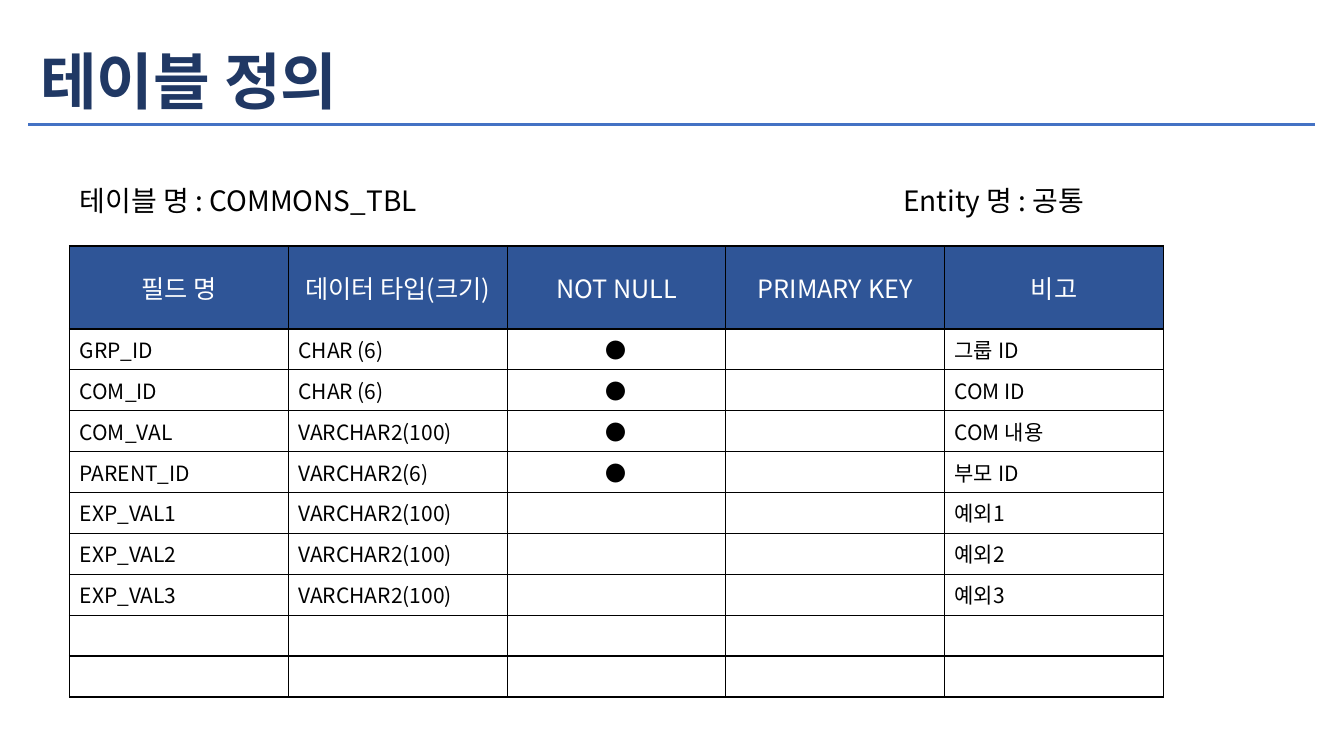
from dataclasses import dataclass

from lxml import etree
from pptx import Presentation
from pptx.dml.color import RGBColor
from pptx.enum.shapes import MSO_SHAPE
from pptx.enum.text import MSO_ANCHOR, PP_ALIGN
from pptx.oxml.ns import qn
from pptx.util import Inches, Pt

RECTANGLE = MSO_SHAPE.RECTANGLE
MIDDLE = MSO_ANCHOR.MIDDLE
LEFT, CENTER = PP_ALIGN.LEFT, PP_ALIGN.CENTER


@dataclass(frozen=True)
class Theme:
    """Colours, font and type sizes of the slide."""
    font: str = "Noto Sans CJK KR"
    title: str = "203864"
    rule: str = "4472C4"
    header: str = "2F5597"
    white: str = "FFFFFF"
    black: str = "000000"
    title_size: int = 44
    label_size: int = 20
    header_size: int = 18
    body_size: int = 15


THEME = Theme()
DOT = "●"
HEADERS = ["필드 명", "데이터 타입(크기)", "NOT NULL", "PRIMARY KEY", "비고"]
FIELDS = [
    ("GRP_ID", "CHAR (6)", DOT, "", "그룹 ID"),
    ("COM_ID", "CHAR (6)", DOT, "", "COM ID"),
    ("COM_VAL", "VARCHAR2(100)", DOT, "", "COM 내용"),
    ("PARENT_ID", "VARCHAR2(6)", DOT, "", "부모 ID"),
    ("EXP_VAL1", "VARCHAR2(100)", "", "", "예외1"),
    ("EXP_VAL2", "VARCHAR2(100)", "", "", "예외2"),
    ("EXP_VAL3", "VARCHAR2(100)", "", "", "예외3"),
]
SPARE_ROWS = 2


def style(p, size, color, bold=False):
    """Set the paragraph font for Latin and Korean text alike."""
    font = p.font
    font.size, font.bold, font.name = Pt(size), bold, THEME.font
    font.color.rgb = RGBColor.from_string(color)
    r_pr = p._p.pPr.find(qn("a:defRPr"))
    latin = r_pr.find(qn("a:latin"))
    latin.addnext(r_pr.makeelement(qn("a:ea"), {"typeface": THEME.font}))


def add_label(slide, box, text, size, color, bold=False):
    """Add one line of text, vertically centred in its box."""
    tf = slide.shapes.add_textbox(*map(Inches, box)).text_frame
    tf.word_wrap = True
    tf.vertical_anchor = MIDDLE
    p = tf.paragraphs[0]
    p.text = text
    p.line_spacing = 0.9
    style(p, size, color, bold)


def add_heading(slide, box):
    """Add the title with a rule across the bottom of the box."""
    left, top, width, height = box
    add_label(slide, (left + 0.03, top, 11.39, 1.04), "테이블 정의",
              THEME.title_size, THEME.title, bold=True)
    thickness = 0.05
    sp = slide.shapes.add_shape(RECTANGLE, Inches(left), Inches(top + height - thickness),
                                Inches(width), Inches(thickness))
    sp.shadow.inherit = False
    sp.fill.solid()
    sp.fill.fore_color.rgb = RGBColor.from_string(THEME.rule)
    sp.line.color.rgb = RGBColor.from_string(THEME.white)
    sp.line.width = Pt(1)


def add_names(slide, box):
    """Add the table name at the left and the entity name at the right."""
    left, top, width, height = box
    entity_width = 4.48
    add_label(slide, (left, top, 7.69, height), "테이블 명 : COMMONS_TBL",
              THEME.label_size, THEME.black)
    add_label(slide, (left + width - entity_width, top, entity_width, height),
              "Entity 명 : 공통", THEME.label_size, THEME.black)


def add_borders(cell):
    """Draw a thin black line on every side of a cell."""
    tc_pr = cell._tc.get_or_add_tcPr()
    for i, side in enumerate(("lnL", "lnR", "lnT", "lnB")):
        ln = tc_pr.makeelement(qn(f"a:{side}"), {"w": str(Pt(1))})
        fill = etree.SubElement(ln, qn("a:solidFill"))
        etree.SubElement(fill, qn("a:srgbClr"), val=THEME.black)
        tc_pr.insert(i, ln)


def fill_cell(cell, text, header, centred):
    """Write and format one table cell."""
    cell.text = text
    cell.fill.solid()
    cell.fill.fore_color.rgb = RGBColor.from_string(THEME.header if header else THEME.white)
    if header:
        cell.vertical_anchor = MIDDLE
    p = cell.text_frame.paragraphs[0]
    p.alignment = CENTER if centred else LEFT
    size = THEME.header_size if header else THEME.body_size
    style(p, size, THEME.white if header else THEME.black)
    if not text:
        etree.SubElement(p._p, qn("a:endParaRPr"), sz=str(size * 100))
    add_borders(cell)


def add_field_table(slide, box):
    """Add the field definitions with spare rows at the bottom."""
    left, top, width, height = box
    rows = [HEADERS, *FIELDS] + [[""] * len(HEADERS)] * SPARE_ROWS
    table = slide.shapes.add_table(len(rows), len(HEADERS), *map(Inches, box)).table
    header_height = 0.61
    for col in table.columns:
        col.width = Inches(width / len(HEADERS))
    for i, row in enumerate(table.rows):
        row.height = Inches((height - header_height) / (len(rows) - 1) if i else header_height)
        for cell, text in zip(row.cells, rows[i]):
            fill_cell(cell, text, header=i == 0, centred=i == 0 or text == DOT)


def build_definition_slide(prs):
    """Add the table definition slide."""
    slide = prs.slides.add_slide(prs.slide_layouts[6])
    add_field_table(slide, (0.69, 2.44, 10.85, 4.26))
    add_names(slide, (0.69, 1.75, 12.65, 0.51))
    add_heading(slide, (0.27, 0.32, 12.78, 0.94))


prs = Presentation()
prs.slide_width, prs.slide_height = Inches(13.33), Inches(7.5)
build_definition_slide(prs)
prs.save("out.pptx")
